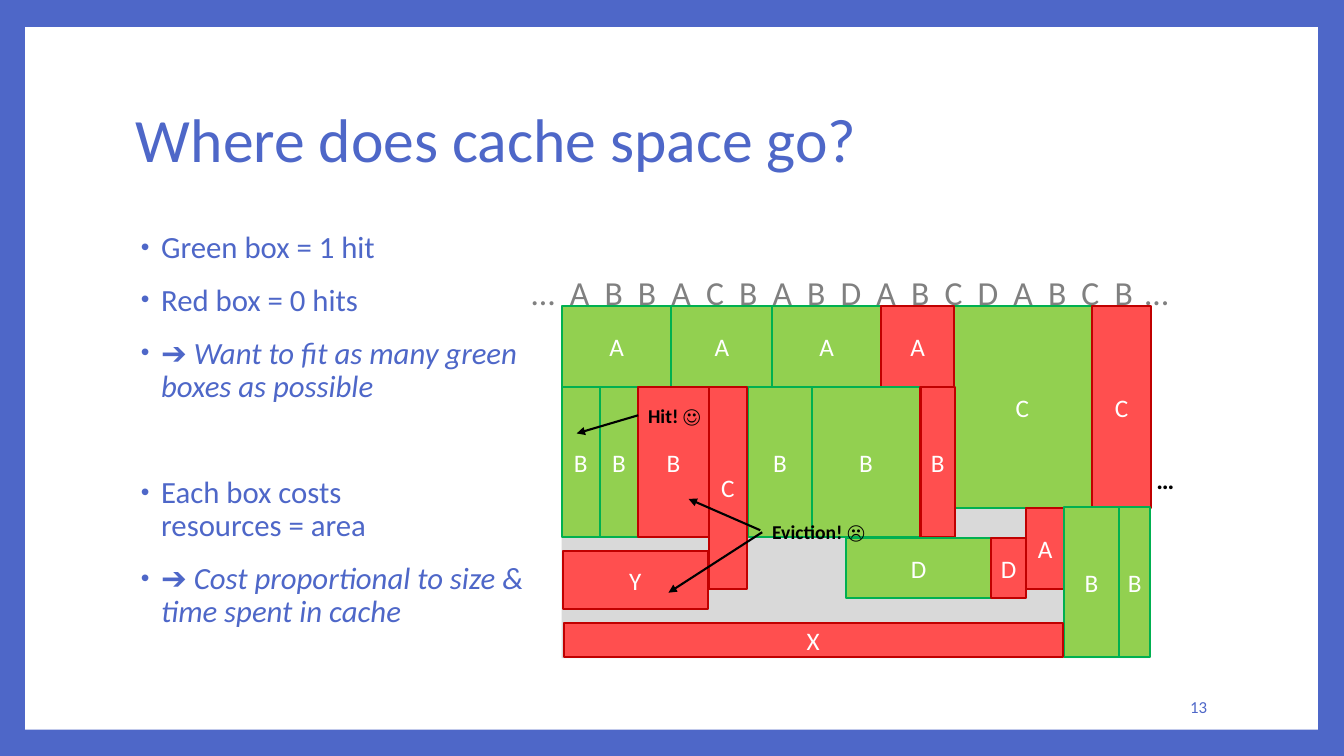
"""Build the slide on how cached objects take up space over time."""
from lxml.etree import SubElement
from pptx import Presentation
from pptx.dml.color import RGBColor
from pptx.enum.shapes import MSO_CONNECTOR as CONN, MSO_SHAPE as SHAPE
from pptx.enum.text import MSO_ANCHOR as ANCHOR, PP_ALIGN as ALIGN
from pptx.oxml.ns import qn
from pptx.util import Inches, Pt

BLUE = RGBColor(0x4E, 0x67, 0xC8)
WHITE = RGBColor(0xFF, 0xFF, 0xFF)
BLACK = RGBColor(0, 0, 0)
GRAY = RGBColor(0x80, 0x80, 0x80)
PALE = RGBColor(0xD9, 0xD9, 0xD9)
HIT = (RGBColor(0x92, 0xD0, 0x50), RGBColor(0x00, 0xB0, 0x50))
MISS = (RGBColor(0xFF, 0x4F, 0x4F), RGBColor(0xC0, 0x00, 0x00))

TITLE = "Where does cache space go?"
PAGE = "13"
REQUESTS = "ABBACBABDABCDABCB"

# Space before, upright text, italic text
BULLETS = [
    (0, "Green box = 1 hit", ""),
    (14, "Red box = 0 hits", ""),
    (14, "➔ ", "Want to fit as many green boxes as possible"),
    (52, "Each box costs\nresources = area", ""),
    (14, "➔ ", "Cost proportional to size & time spent in cache"),
]

# Left, top, height, then side-by-side boxes: label, width, outcome
ROWS = [
    (9.45, 3.04, 2.0, [("C", 1.38, HIT), ("C", 0.59, MISS)]),
    (5.57, 3.04, 0.8, [("A", 1.09, HIT), ("A", 1.0, HIT),
                       ("A", 1.08, HIT), ("A", 0.72, MISS)]),
    (5.57, 3.84, 1.49, [("B", 0.38, HIT), ("B", 0.38, HIT), ("B", 0.7, MISS)]),
    (7.42, 3.84, 1.49, [("B", 0.63, HIT), ("B", 1.08, HIT), ("B", 0.34, MISS)]),
    (7.03, 3.84, 2.0, [("C", 0.38, MISS)]),
    (8.39, 5.34, 0.59, [("D", 1.44, HIT), ("D", 0.35, MISS)]),
    (10.18, 5.04, 0.8, [("A", 0.37, MISS)]),
    (10.55, 5.03, 1.49, [("B", 0.55, HIT), ("B", 0.31, HIT)]),
    (5.59, 6.18, 0.34, [("X", 4.95, MISS)]),
    (5.58, 5.47, 0.57, [("Y", 1.44, MISS)]),
]
NOTES = [
    ("…", (11.37, 4.56, 0.51, 0.54), 18),
    ("Hit! ☺", (6.33, 3.96, 0.73, 0.34), 14),
    ("Eviction! ☹", (7.56, 5.11, 1.15, 0.34), 14),
]
ARROWS = [
    (6.33, 4.12, 5.72, 4.3),
    (7.56, 5.28, 6.63, 5.88),
    (7.54, 5.26, 6.83, 4.95),
]


def add_run(p, text, size=18, color=BLUE, bold=False, italic=False, spacing=0):
    for i, line in enumerate(text.split("\n")):
        if i:
            p.add_line_break()
        r = p.add_run()
        r.text = line
        r.font.name, r.font.size = "Calibri", Pt(size)
        r.font.bold, r.font.italic = bold, italic
        r.font.color.rgb = color
        if spacing:
            r.font._element.set("spc", str(spacing))


def add_text(s, box, text="", align=ALIGN.LEFT, anchor=ANCHOR.TOP, wrap=True, **fmt):
    tf = s.shapes.add_textbox(*map(Inches, box)).text_frame
    tf.word_wrap, tf.vertical_anchor = wrap, anchor
    p = tf.paragraphs[0]
    p.alignment = align
    if text:
        add_run(p, text, **fmt)
    return tf


def add_rect(s, box, fill, line=None, label=""):
    sp = s.shapes.add_shape(SHAPE.RECTANGLE, *map(Inches, box))
    sp.shadow.inherit = False
    sp.fill.solid()
    sp.fill.fore_color.rgb = fill
    if line is None:
        sp.line.fill.background()
    else:
        sp.line.color.rgb, sp.line.width = line, Pt(1.5)
    if label:
        tf = sp.text_frame
        tf.margin_left = tf.margin_right = tf.margin_top = tf.margin_bottom = 0
        tf.vertical_anchor = ANCHOR.MIDDLE
        tf.paragraphs[0].alignment = ALIGN.CENTER
        add_run(tf.paragraphs[0], label, color=WHITE)


def add_arrow(s, ends):
    cn = s.shapes.add_connector(CONN.STRAIGHT, *map(Inches, ends))
    cn.line.color.rgb, cn.line.width = BLACK, Pt(1.5)
    SubElement(cn.line._get_or_add_ln(), qn("a:tailEnd"), type="triangle")
    SubElement(cn._element.spPr, qn("a:effectLst"))


def add_bullets(s, box):
    tf = add_text(s, box)
    for i, (gap, upright, slanted) in enumerate(BULLETS):
        p = tf.add_paragraph() if i else tf.paragraphs[0]
        p.line_spacing, p.space_before = 0.9, Pt(gap)
        pPr = p._p.get_or_add_pPr()
        pPr.set("marL", str(Inches(0.25)))
        pPr.set("indent", str(Inches(-0.2)))
        SubElement(SubElement(pPr, qn("a:buClr")), qn("a:srgbClr"), val=str(BLUE))
        SubElement(pPr, qn("a:buSzPct"), val="80000")
        SubElement(pPr, qn("a:buFont"), typeface="Arial")
        SubElement(pPr, qn("a:buChar"), char="•")
        add_run(p, upright, size=22)
        if slanted:
            add_run(p, slanted, size=22, italic=True)


def main():
    prs = Presentation()
    prs.slide_width, prs.slide_height = Inches(13.33), Inches(7.5)
    s = prs.slides.add_slide(prs.slide_layouts[6])
    s.background.fill.solid()
    s.background.fill.fore_color.rgb = BLUE

    add_rect(s, (0.25, 0.27, 12.82, 6.97), WHITE)
    tf = add_text(s, (1.25, 0.67, 10.8, 1.48), TITLE, anchor=ANCHOR.MIDDLE, size=44)
    tf.paragraphs[0].line_spacing = 0.9
    add_text(s, (10.2, 6.81, 1.87, 0.4), PAGE, ALIGN.RIGHT, ANCHOR.MIDDLE, size=12)
    add_bullets(s, (1.25, 2.25, 4.12, 4.42))

    add_rect(s, (5.57, 3.04, 5.84, 3.49), PALE)
    tf = add_text(s, (4.97, 2.65, 6.92, 0.5), " ".join("…" + REQUESTS),
                  ALIGN.CENTER, size=24, color=GRAY, spacing=271)
    add_run(tf.paragraphs[0], " …", size=24, color=GRAY)

    for left, top, height, boxes in ROWS:
        for label, width, (fill, line) in boxes:
            add_rect(s, (left, top, width, height), fill, line, label)
            left += width
    for text, box, size in NOTES:
        add_text(s, box, text, wrap=False, size=size, color=BLACK, bold=True)
    for ends in ARROWS:
        add_arrow(s, ends)
    prs.save("out.pptx")


if __name__ == "__main__":
    main()
